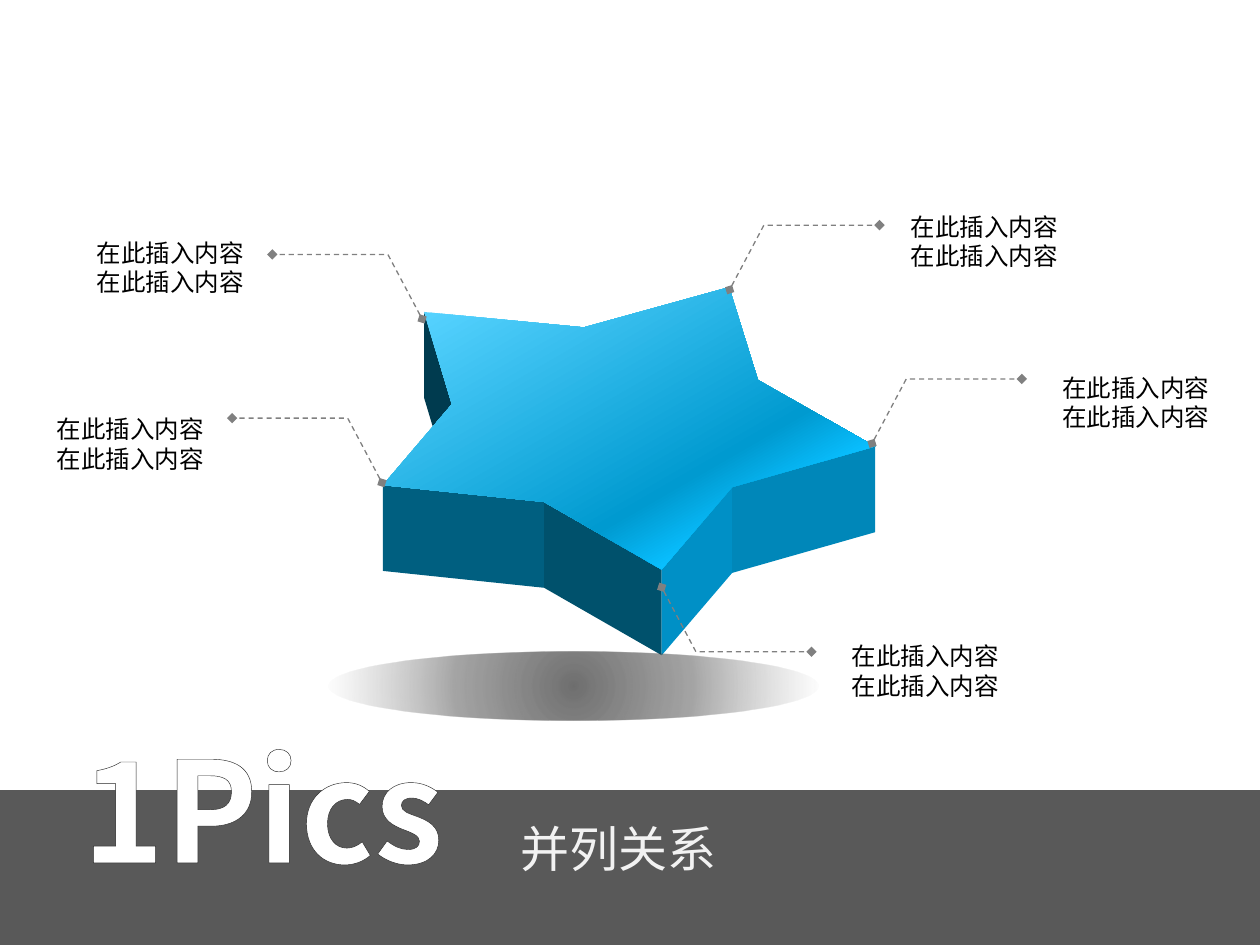
from lxml import etree
from pptx import Presentation
from pptx import util as u
from pptx.dml.color import RGBColor
from pptx.enum import dml, shapes, text
from pptx.oxml.ns import qn

FONT = "Noto Sans CJK SC"
WHITE = RGBColor(0xFF, 0xFF, 0xFF)
PALE = RGBColor(0xF2, 0xF2, 0xF2)
BLACK = RGBColor(0, 0, 0)
INK = RGBColor(0x26, 0x26, 0x26)
BAND = RGBColor(0x59, 0x59, 0x59)
GREY = RGBColor(0x80, 0x80, 0x80)
SKY = RGBColor(0x57, 0xD3, 0xFF)
BLUE = RGBColor(0x00, 0x9A, 0xD0)
BRIGHT = RGBColor(0x09, 0xBF, 0xFF)
SHADOW_CORE = RGBColor(0x40, 0x40, 0x40)
SHADOW_MID = RGBColor(0x53, 0x53, 0x53)

# Corners of the star's top face, clockwise from the back left, in cm
STAR = [(0.83, 0.5), (4.05, 0.81), (6.98, 0), (7.56, 1.87), (9.92, 3.21),
        (7.04, 4.03), (5.62, 5.69), (3.25, 4.33), (0, 3.99), (1.39, 2.36)]
STAR_DEPTH = 1.73
# Visible sides: first corner of the edge and colour
SIDES = [(9, RGBColor(0x00, 0x3B, 0x4F)), (7, RGBColor(0x00, 0x5F, 0x80)),
         (6, RGBColor(0x00, 0x51, 0x6C)), (5, RGBColor(0x00, 0x90, 0xC6)),
         (4, RGBColor(0x00, 0x87, 0xB9))]

# Anchor, horizontal and vertical direction, label corner
CALLOUTS = [((8.51, 6.43), -1, -1, (1.7, 4.67)),
            ((7.7, 9.73), -1, -1, (0.89, 8.23)),
            ((14.71, 5.84), 1, -1, (18.11, 4.14)),
            ((17.58, 8.94), 1, -1, (21.16, 7.39)),
            ((13.34, 11.84), 1, 1, (16.92, 12.8))]


def add_outline(page, points, closed=True):
    """Freeform through points given in cm, without shadow or line."""
    corners = [(u.Cm(x), u.Cm(y)) for x, y in points]
    builder = page.shapes.build_freeform(*corners[0])
    builder.add_line_segments(corners[1:], close=closed)
    shape = builder.convert_to_shape()
    shape.shadow.inherit = False
    shape.line.fill.background()
    return shape


def add_preset(page, kind, left, top, width, height):
    shape = page.shapes.add_shape(kind, u.Cm(left), u.Cm(top), u.Cm(width), u.Cm(height))
    shape.shadow.inherit = False
    shape.line.fill.background()
    return shape


def set_gradient(shape, stops, angle=None):
    """Stops are (percent, colour, opacity percent); no angle means radial."""
    shape.fill.gradient()
    gradient = shape._element.spPr.find(qn("a:gradFill"))
    for child in list(gradient):
        gradient.remove(child)
    stop_list = etree.SubElement(gradient, qn("a:gsLst"))
    for position, colour, opacity in stops:
        stop = etree.SubElement(stop_list, qn("a:gs"), pos=str(position * 1000))
        shade = etree.SubElement(stop, qn("a:srgbClr"), val=str(colour))
        if opacity < 100:
            etree.SubElement(shade, qn("a:alpha"), val=str(opacity * 1000))
    if angle is None:
        radial = etree.SubElement(gradient, qn("a:path"), path="circle")
        etree.SubElement(radial, qn("a:fillToRect"), l="50000", t="50000", r="50000", b="50000")
    else:
        etree.SubElement(gradient, qn("a:lin"), ang=str(angle * 60000), scaled="0")


def add_text(page, left, top, width, height, lines, size, colour, wrap=False):
    box = page.shapes.add_textbox(u.Cm(left), u.Cm(top), u.Cm(width), u.Cm(height))
    frame = box.text_frame
    frame.word_wrap = wrap
    frame.auto_size = text.MSO_AUTO_SIZE.SHAPE_TO_FIT_TEXT
    frame.text = "\n".join(lines)
    for para in frame.paragraphs:
        para.font.size = u.Pt(size)
        para.font.name = FONT
        para.font.color.rgb = colour
        defaults = para._p.pPr.find(qn("a:defRPr"))
        etree.SubElement(defaults, qn("a:ea"), typeface=FONT)
    return box


def add_footer(page, left, top, width, height):
    band = add_preset(page, shapes.MSO_SHAPE.RECTANGLE, left, top, width, height)
    band.fill.solid()
    band.fill.fore_color.rgb = BAND
    add_text(page, left + 10.24, top + 0.45, 4.5, 1.45, ["并列关系"], 28, PALE)
    title = add_text(page, left + 1.4, top - 1.48, 9.8, 3.68, ["1Pics"], 80, WHITE, wrap=True)
    span = title.text_frame.paragraphs[0].runs[0]
    span.font.bold = True
    outline = etree.Element(qn("a:ln"), w=str(u.Pt(1.5)))
    fill = etree.SubElement(outline, qn("a:solidFill"))
    etree.SubElement(fill, qn("a:srgbClr"), val=str(INK))
    span._r.get_or_add_rPr().insert(0, outline)


def add_star(page, left, top):
    """Solid star: side walls first, then the top face over them."""
    face = [(left + x, top + y) for x, y in STAR]
    for index, colour in SIDES:
        start, end = face[index], face[(index + 1) % len(face)]
        lower = [(x, y + STAR_DEPTH) for x, y in (end, start)]
        side = add_outline(page, [start, end, *lower])
        side.fill.solid()
        side.fill.fore_color.rgb = colour
    top_face = add_outline(page, face)
    set_gradient(top_face, [(8, SKY, 100), (65, BLUE, 100), (78, BRIGHT, 100)], angle=60)


def add_callout(page, anchor, across, down, label):
    """Dashed elbow leading from the anchor to a two-line label."""
    x, y = anchor
    level = y + 1.3 * down
    leader = add_outline(page, [anchor, (x + 0.69 * across, level), (x + 3.02 * across, level)],
                         closed=False)
    leader.fill.background()
    leader.line.color.rgb = GREY
    leader.line.width = u.Pt(0.75)
    leader.line.dash_style = dml.MSO_LINE.DASH
    line = leader._element.spPr.find(qn("a:ln"))
    for end in ("a:headEnd", "a:tailEnd"):
        etree.SubElement(line, qn(end), type="diamond")
    add_text(page, *label, 3.51, 1.45, ["在此插入内容"] * 2, 14, BLACK)


def add_ground_shadow(page, left, top, width, height):
    ellipse = add_preset(page, shapes.MSO_SHAPE.OVAL, left, top, width, height)
    set_gradient(ellipse, [(0, SHADOW_CORE, 75), (48, SHADOW_MID, 52), (100, GREY, 0)])


def main():
    deck = Presentation()
    deck.slide_width, deck.slide_height = u.Cm(25.4), u.Cm(19.05)
    page = deck.slides.add_slide(deck.slide_layouts[6])
    add_footer(page, 0, 15.93, 25.4, 3.12)
    add_star(page, 7.72, 5.79)
    for callout in CALLOUTS:
        add_callout(page, *callout)
    add_ground_shadow(page, 6.63, 13.13, 9.88, 1.4)
    deck.save("out.pptx")


if __name__ == "__main__":
    main()
